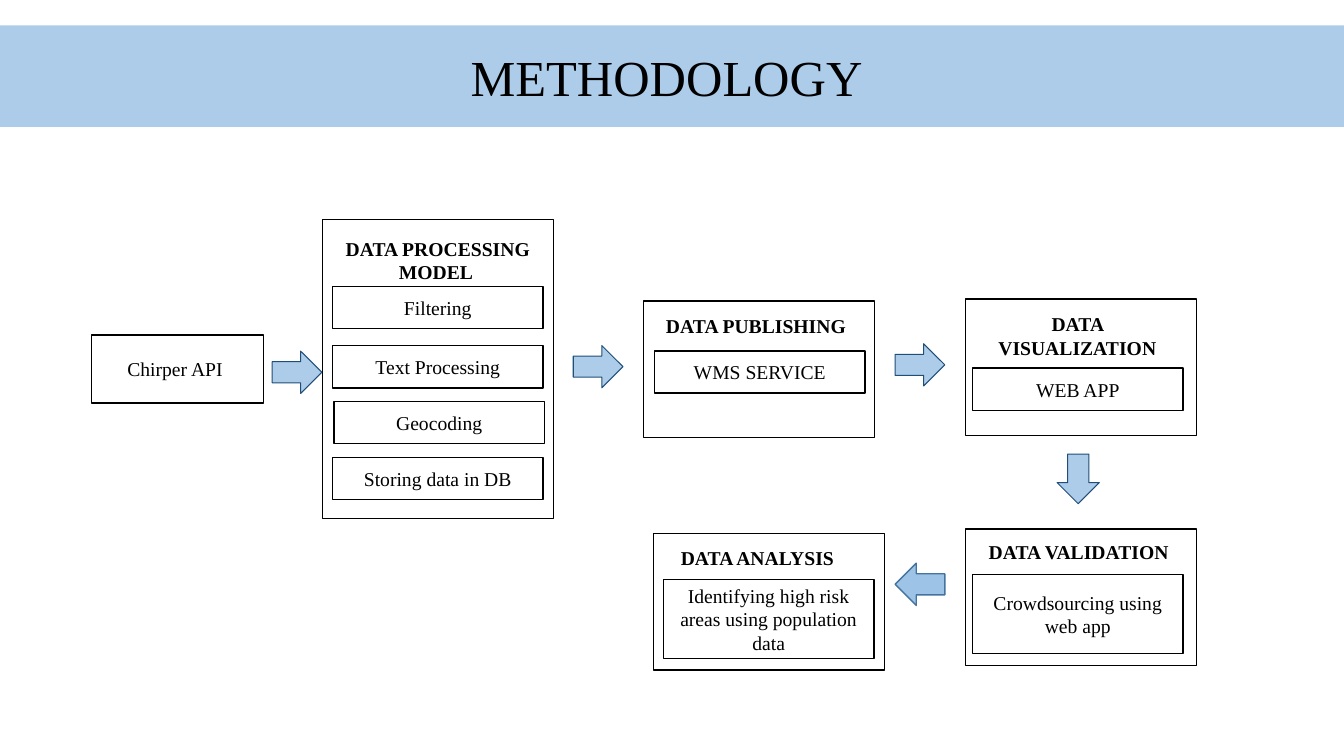
"""Build the methodology flow slide."""
from lxml import etree
from pptx import Presentation
from pptx.dml.color import RGBColor
from pptx.enum import shapes, text
from pptx.oxml import ns
from pptx.util import Pt

BLACK = RGBColor(0x00, 0x00, 0x00)
WHITE = RGBColor(0xFF, 0xFF, 0xFF)
BLUE = RGBColor(0x5B, 0x9B, 0xD5)
PALE = RGBColor(0x9D, 0xC3, 0xE6)
NAVY = RGBColor(0x1F, 0x4E, 0x79)
STEEL = RGBColor(0x43, 0x73, 0x9E)
FONT = "Times New Roman"
KIND = shapes.MSO_SHAPE
STAGE_W, STAGE_H = 165, 97.5
STEP_W, STEP_H, TALL_H = 150.5, 30.2, 56.5
ARROW_W, ARROW_H = 35.5, 30.2


def paint(shape, color, alpha=None):
    shape.fill.solid()
    shape.fill.fore_color.rgb = color
    if alpha:
        tint = shape.fill._xPr.find(ns.qn("a:solidFill"))[0]
        etree.SubElement(tint, ns.qn("a:alpha"), val=str(alpha * 1000))


def write(shape, words, size=14, bold=False, anchor=text.MSO_ANCHOR.MIDDLE):
    frame = shape.text_frame
    frame.text = words
    frame.word_wrap = True
    frame.auto_size = text.MSO_AUTO_SIZE.NONE
    frame.vertical_anchor = anchor
    para = frame.paragraphs[0]
    para.alignment = text.PP_ALIGN.CENTER
    font = para.font
    font.name, font.size, font.bold = FONT, Pt(size), bold
    font.color.rgb = BLACK


def add_shape(slide, kind, area, color, edge, weight=1, alpha=None):
    shape = slide.shapes.add_shape(kind, *map(Pt, area))
    shape.shadow.inherit = False
    paint(shape, color, alpha)
    shape.line.color.rgb = edge
    shape.line.width = Pt(weight)
    return shape


def add_box(slide, area, words=None):
    box = add_shape(slide, KIND.RECTANGLE, area, WHITE, BLACK)
    if words:
        write(box, words)


def add_stage(slide, left, top, height, head, spot, steps):
    add_box(slide, (left, top, STAGE_W, height))
    label = slide.shapes.add_textbox(*map(Pt, (*spot, STEP_W, 24.5)))
    write(label, head, bold=True, anchor=text.MSO_ANCHOR.TOP)
    for x, y, tall, words in steps:
        add_box(slide, (x, y, STEP_W, tall), words)


def add_arrow(slide, left, top, turn=0):
    area = (left, top, ARROW_W, ARROW_H)
    arrow = add_shape(slide, KIND.RIGHT_ARROW, area, BLUE, NAVY, 0.75, 50)
    arrow.rotation = turn


def add_title(slide, words):
    title = slide.shapes.title
    title.left, title.top, title.width, title.height = map(
        Pt, (0, 18.2, 960, 72.5))
    paint(title, BLUE, 50)
    write(title, words, size=36)


def main():
    deck = Presentation()
    deck.slide_width, deck.slide_height = Pt(960), Pt(540)
    slide = deck.slides.add_slide(deck.slide_layouts[5])
    add_title(slide, "METHODOLOGY ")

    add_box(slide, (65.3, 239.2, 123, 48.8), "Chirper API ")
    add_stage(slide, 230.4, 156.8, 213.6, "DATA PROCESSING MODEL ",
              (237.5, 165.6), [
                  (237.5, 204.5, STEP_H, "Filtering"),
                  (237.5, 246.9, STEP_H, "Text Processing"),
                  (238.5, 286.8, STEP_H, "Geocoding"),
                  (237.5, 326.8, STEP_H, "Storing data in DB")])
    add_stage(slide, 459.5, 215, STAGE_H, "DATA PUBLISHING ", (466.5, 221),
              [(467.5, 250.6, STEP_H, "WMS SERVICE")])
    add_stage(slide, 689.5, 213.5, STAGE_H, "DATA VISUALIZATION",
              (694.3, 219.5), [(694.6, 262.9, STEP_H, "WEB APP")])
    add_stage(slide, 689.5, 378, STAGE_H, "DATA VALIDATION ", (697, 382.3),
              [(694.6, 410.3, TALL_H, "Crowdsourcing using web app")])
    add_stage(slide, 466.7, 381, STAGE_H, "DATA ANALYSIS ", (467.5, 386.6),
              [(473.8, 414, TALL_H,
                "Identifying high risk areas using population data")])

    add_arrow(slide, 194.4, 250.8)
    add_arrow(slide, 409.5, 246.8)
    add_arrow(slide, 639.4, 245.5)
    add_arrow(slide, 752.4, 327, 90)
    add_shape(slide, KIND.LEFT_ARROW, (639.4, 402.3, ARROW_W, ARROW_H),
              PALE, STEEL)
    deck.save("out.pptx")


if __name__ == "__main__":
    main()
